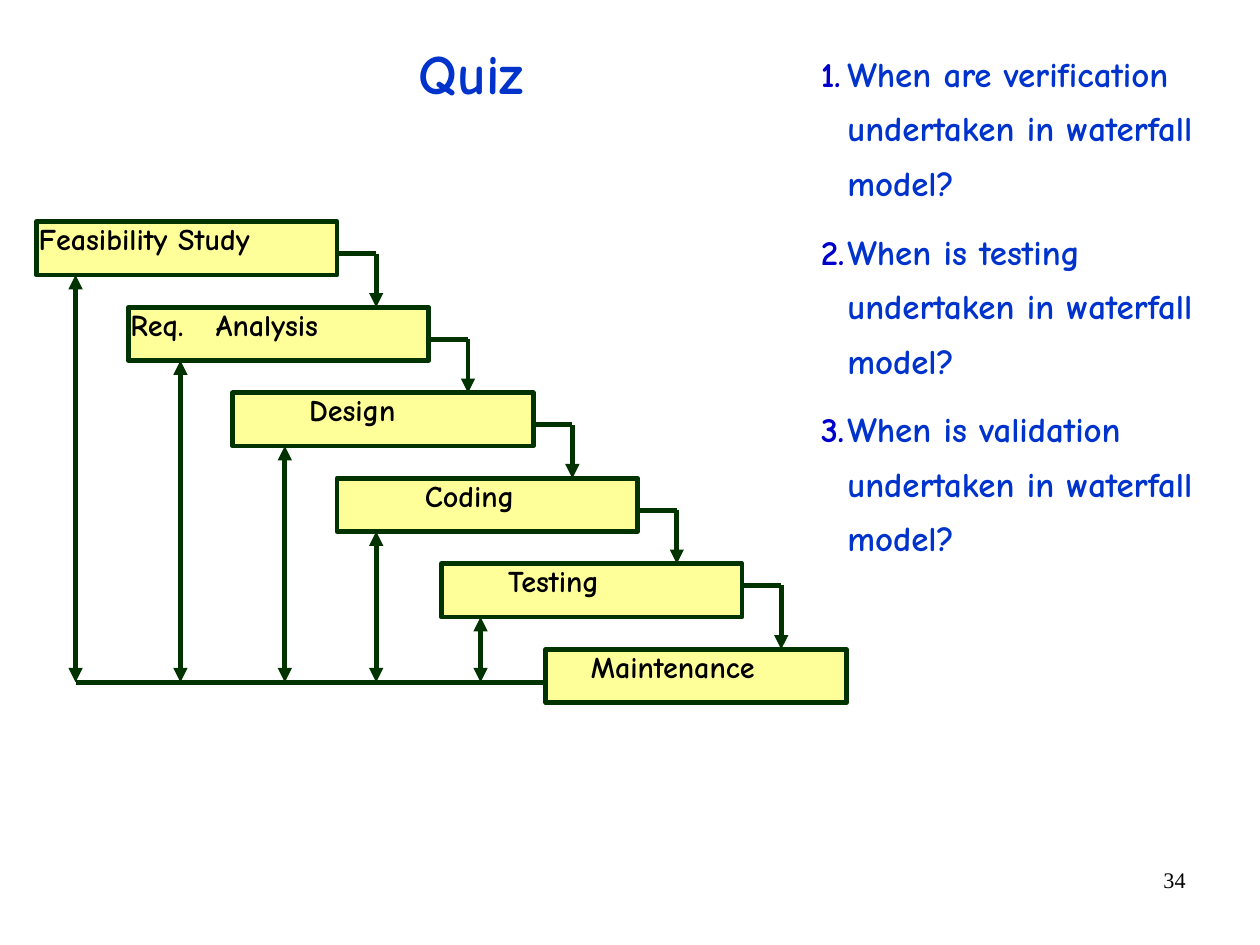
"""Build the waterfall model quiz slide."""
from lxml import etree
from pptx import Presentation
from pptx.dml.color import RGBColor
from pptx.enum.shapes import MSO_CONNECTOR, MSO_SHAPE
from pptx.enum.text import MSO_ANCHOR, PP_ALIGN
from pptx.oxml.ns import qn
from pptx.util import Cm, Pt

TITLE = "Quiz"
NUMBER = "34"
QUIZ = [
    "When are verification undertaken in waterfall model?",
    "When is testing undertaken in waterfall model?",
    "When is validation undertaken in waterfall model?",
]
# name, text inset, feedback arrow offset, exit height
PHASES = [
    ("Feasibility Study", 0.05, 0.87, 0.71),
    ("Req.\tAnalysis", 0.05, 1.16, 0.71),
    ("Design", 1.7, 1.16, 0.71),
    ("Coding", 1.95, 0.87, 0.71),
    ("Testing", 1.48, 0.87, 0.48),
    ("Maintenance", 1.0, 0, 0),
]

BLUE = RGBColor(0x00, 0x33, 0xCC)
GREEN = RGBColor(0x00, 0x33, 0x00)
YELLOW = RGBColor(0xFF, 0xFF, 0x99)
BLACK = RGBColor(0, 0, 0)
MARK = RGBColor(0x00, 0x00, 0xCC)
COMIC, TIMES = "Comic Neue", "Times New Roman"
LEFT, CENTER, RIGHT = PP_ALIGN.LEFT, PP_ALIGN.CENTER, PP_ALIGN.RIGHT
TOP = MSO_ANCHOR.TOP
ROUND, STRAIGHT = MSO_SHAPE.ROUNDED_RECTANGLE, MSO_CONNECTOR.STRAIGHT

BOX_W, BOX_H = 6.68, 1.18
FIRST_X, NEXT_X, STEP_X = 0.81, 2.85, 2.32
FIRST_Y, STEP_Y = 4.93, 1.9
EXIT_W, BUS_Y = 0.87, 15.16
TAB, INDENT = 1.9, 0.59


def write(shape, lines, size, color, align=LEFT, space=1.0, face=COMIC, left=0.05, side=0.05, top=0.1):
    frame = shape.text_frame
    frame.text = "\n".join(lines)
    frame.word_wrap = True
    frame.vertical_anchor = TOP
    frame.margin_left, frame.margin_right = Cm(left), Cm(side)
    frame.margin_top = frame.margin_bottom = Cm(top)
    for para in frame.paragraphs:
        para.alignment = align
        para.line_spacing = space
        for run in para.runs:
            font = run.font
            font.name, font.size, font.bold = face, Pt(size), face == COMIC
            font.color.rgb = color
    return frame.paragraphs


def add_text(slide, x, y, w, h, *args, **style):
    return write(slide.shapes.add_textbox(Cm(x), Cm(y), Cm(w), Cm(h)), *args, **style)


def add_line(slide, x1, y1, x2, y2, *ends):
    line = slide.shapes.add_connector(STRAIGHT, Cm(x1), Cm(y1), Cm(x2), Cm(y2))
    line.line.color.rgb = GREEN
    line.line.width = Pt(3)
    stroke = line.line._get_or_add_ln()
    for end in ends:
        etree.SubElement(stroke, qn("a:" + end), type="triangle")
    etree.SubElement(line._element.spPr, qn("a:effectLst"))


def add_phase(slide, x, y, name, inset):
    box = slide.shapes.add_shape(ROUND, Cm(x), Cm(y), Cm(BOX_W), Cm(BOX_H))
    box.adjustments[0] = 0
    box.shadow.inherit = False
    box.fill.solid()
    box.fill.fore_color.rgb = YELLOW
    box.line.color.rgb = GREEN
    box.line.width = Pt(3)
    para = write(box, [name], 19, BLACK, space=0.85, left=inset)[0]
    if "\t" in name:
        tabs = etree.SubElement(para._p.get_or_add_pPr(), qn("a:tabLst"))
        etree.SubElement(tabs, qn("a:tab"), pos=str(Cm(TAB)), algn="l")


def add_quiz(slide):
    paras = add_text(slide, 18.19, 0.79, 9.5, 11.7, QUIZ, 22, BLUE, space=1.3)
    for i, para in enumerate(paras):
        para.space_before = Pt(4.5 if i else 0)
        para.space_after = Pt(4.5)
        props = para._p.get_or_add_pPr()
        props.set("marL", str(Cm(INDENT)))
        props.set("indent", str(-Cm(INDENT)))
        tint = etree.SubElement(props, qn("a:buClr"))
        etree.SubElement(tint, qn("a:srgbClr"), val=str(MARK))
        etree.SubElement(props, qn("a:buFont"), typeface=COMIC)
        etree.SubElement(props, qn("a:buAutoNum"), type="arabicPeriod")


def main():
    deck = Presentation()
    deck.slide_width, deck.slide_height = Cm(28), Cm(21)
    slide = deck.slides.add_slide(deck.slide_layouts[6])

    add_text(slide, 20.07, 19.13, 6.53, 1.45, [NUMBER], 14, BLACK,
             align=RIGHT, face=TIMES, left=0.25, side=0.25, top=0.13)
    add_text(slide, 1.43, 0.95, 18.08, 1.6, [TITLE], 35, BLUE, align=CENTER, space=0.88)

    spots = [(NEXT_X + STEP_X * (i - 1) if i else FIRST_X, FIRST_Y + STEP_Y * i)
             for i in range(len(PHASES))]
    for (x, y), (name, inset, _, _) in zip(spots, PHASES):
        add_phase(slide, x, y, name, inset)

    for (x, y), (_, below), (_, _, shift, drop) in zip(spots, spots[1:], PHASES):
        edge, turn = x + BOX_W, x + BOX_W + EXIT_W
        add_line(slide, edge, y + drop, turn, y + drop)
        add_line(slide, turn, y + drop, turn, below, "tailEnd")
        add_line(slide, x + shift, BUS_Y, x + shift, y + BOX_H, "headEnd", "tailEnd")
    add_line(slide, spots[-1][0], BUS_Y, FIRST_X + PHASES[0][2], BUS_Y)

    add_quiz(slide)
    deck.save("out.pptx")


if __name__ == "__main__":
    main()
